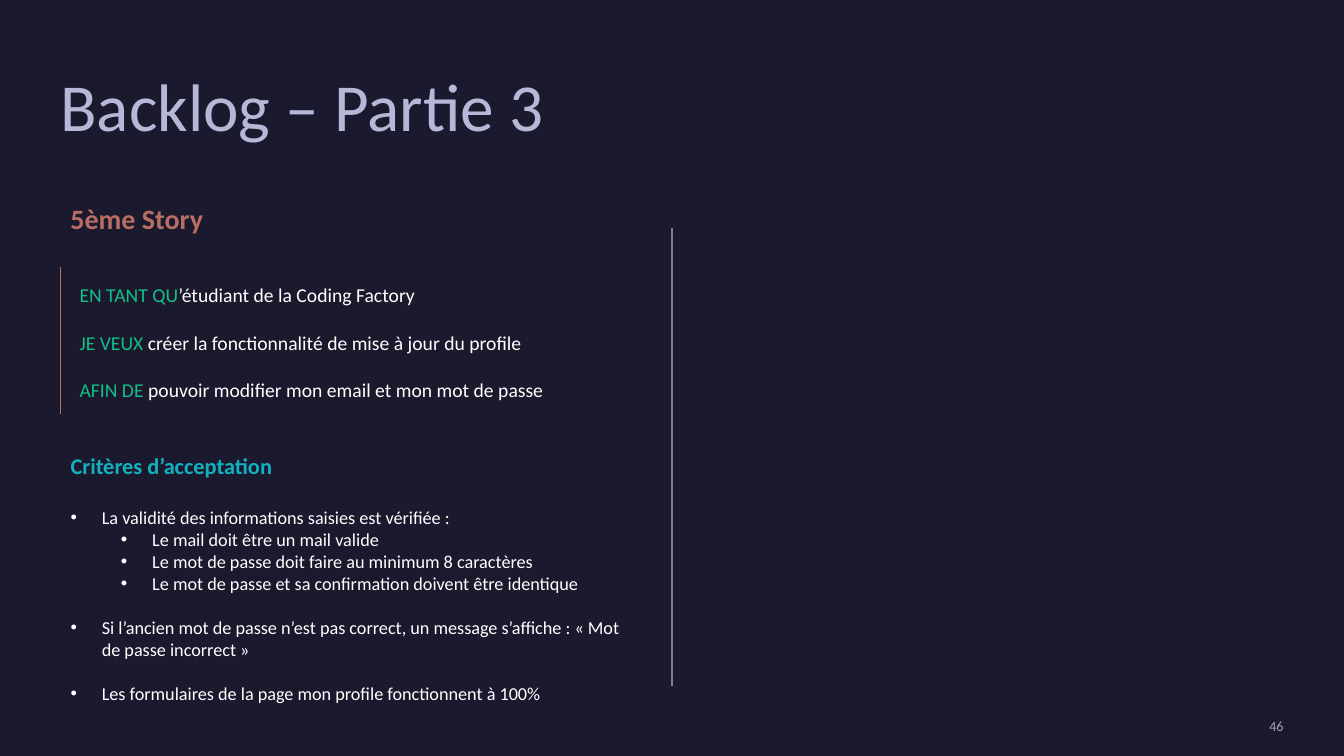
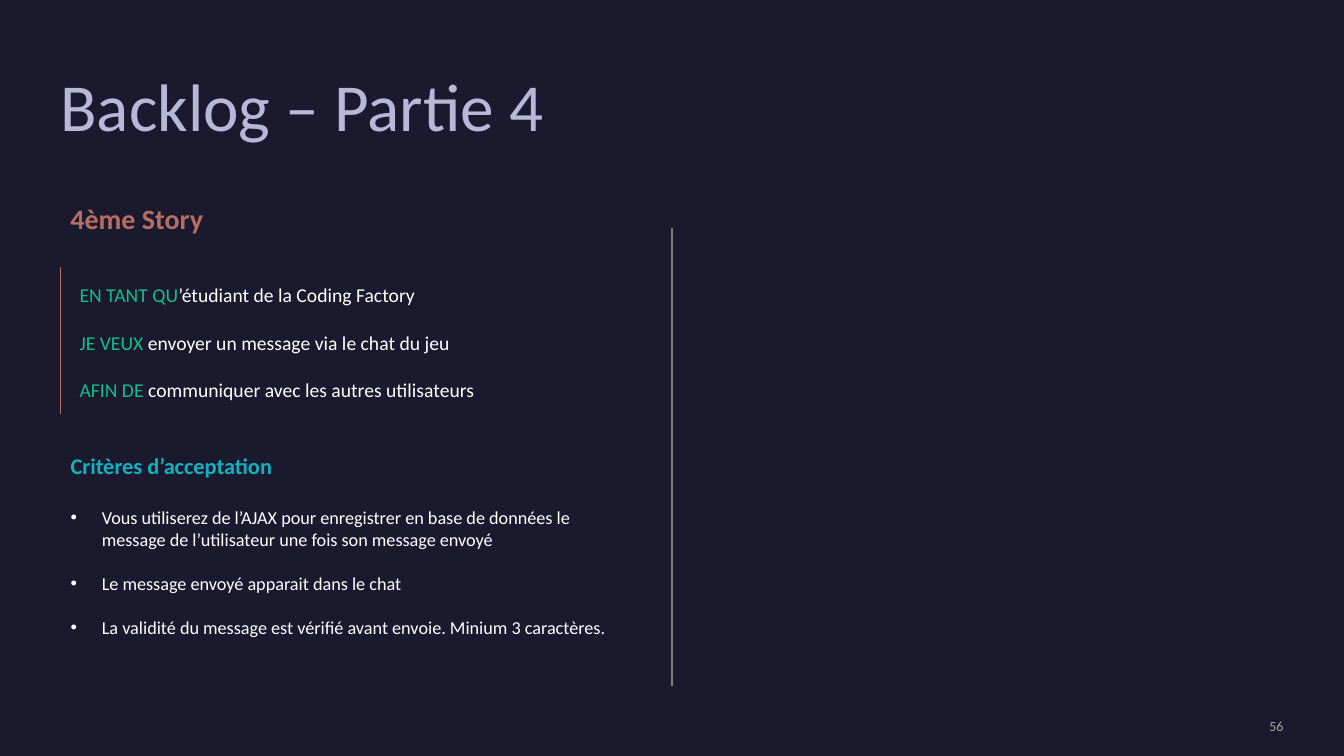
"""Build the two backlog story slides."""
import dataclasses
import typing

import lxml.etree
import pptx
import pptx.dml.color
import pptx.enum.shapes
import pptx.enum.text
import pptx.oxml.ns
import pptx.slide
import pptx.text.text
import pptx.util

RGB = pptx.dml.color.RGBColor
NIGHT = RGB(0x1B, 0x19, 0x2E)
LILAC = RGB(0xB7, 0xB7, 0xD8)
RUST = RGB(0xB8, 0x6E, 0x62)
GREEN = RGB(0x13, 0xBE, 0x89)
TEAL = RGB(0x12, 0xB1, 0xBF)
WHITE = RGB(0xFF, 0xFF, 0xFF)
SILVER = RGB(0xA5, 0xA5, 0xA5)
GREY = RGB(0x7F, 0x7F, 0x7F)

FONT = "Calibri"
WIDE = pptx.util.Inches(13.33)
HIGH = pptx.util.Inches(7.5)
LEFT = 4.5
HANG = pptx.util.Inches(0.31)
STEP = pptx.util.Inches(0.5)
PAD = (0.1, 0.05)
ALIGN = pptx.enum.text.PP_ALIGN
ANCHOR = pptx.enum.text.MSO_ANCHOR
Run = tuple[str, RGB]


class Box(typing.NamedTuple):
    """Hold left, top, width and height in percent of the slide."""
    left: float
    top: float
    width: float
    height: float


class Rule(typing.NamedTuple):
    """Hold a vertical line, in percent of the slide."""
    left: float
    top: float
    end: float
    color: RGB
    weight: float


class Point(typing.NamedTuple):
    """Hold one bullet and its level."""
    text: str
    level: int = 0


@dataclasses.dataclass
class Story:
    """Hold the content of one slide."""
    title: str
    name: str
    want: str
    goal: str
    points: list[Point]
    depth: float
    page: str


TITLE = Box(LEFT, 9.73, 73.82, 22.8)
NAME = Box(LEFT, 26, 48.09, 5.87)
QUOTE = Box(5.18, 36.8, 41.86, 17.07)
PAGE = Box(81.62, 94.93, 13.88, 2.27)
RULES = [Rule(LEFT, 35.33, 54.8, RUST, 1), Rule(50, 30.13, 90.8, GREY, 0.75)]

STORIES = [
    Story(
        "Backlog – Partie 3", "5ème Story",
        "créer la fonctionnalité de mise à jour du profile",
        "pouvoir modifier mon email et mon mot de passe",
        [
            Point("La validité des informations saisies est vérifiée :"),
            Point("Le mail doit être un mail valide", 1),
            Point("Le mot de passe doit faire au minimum 8 caractères", 1),
            Point("Le mot de passe et sa confirmation doivent être identique", 1),
            Point("Si l’ancien mot de passe n’est pas correct, un message s’affiche : "
                  "« Mot de passe incorrect »"),
            Point("Les formulaires de la page mon profile fonctionnent à 100%"),
        ],
        34.8, "46"),
    Story(
        "Backlog – Partie 4", "4ème Story",
        "envoyer un message via le chat du jeu",
        "communiquer avec les autres utilisateurs",
        [
            Point("Vous utiliserez de l’AJAX pour enregistrer en base de données le "
                  "message de l’utilisateur une fois son message envoyé"),
            Point("Le message envoyé apparait dans le chat"),
            Point("La validité du message est vérifié avant envoie. "
                  "Minium 3 caractères."),
        ],
        26, "56"),
]


def across(share: float) -> int:
    """Turn a percentage of the slide width into a length."""
    return round(WIDE * share / 100)


def down(share: float) -> int:
    """Turn a percentage of the slide height into a length."""
    return round(HIGH * share / 100)


def spot(box: Box) -> tuple[int, int, int, int]:
    """Turn a box into lengths."""
    return across(box.left), down(box.top), across(box.width), down(box.height)


def setup(frame: pptx.text.text.TextFrame, pad: tuple[float, float] = PAD,
          anchor: ANCHOR = ANCHOR.TOP) -> pptx.text.text.TextFrame:
    """Set the wrap, margins and anchor of a text frame."""
    frame.word_wrap = True
    frame.auto_size = pptx.enum.text.MSO_AUTO_SIZE.NONE
    frame.vertical_anchor = anchor
    frame.margin_left = frame.margin_right = pptx.util.Inches(pad[0])
    frame.margin_top = frame.margin_bottom = pptx.util.Inches(pad[1])
    return frame


def mark(para: pptx.text.text._Paragraph, level: int | None) -> None:
    """Give a paragraph its bullet and indent, or none."""
    props = para._p.get_or_add_pPr()
    tag = pptx.oxml.ns.qn
    add = lxml.etree.SubElement
    if level is None:
        props.set("marL", "0")
        props.set("indent", "0")
        add(props, tag("a:buNone"))
        return
    props.set("marL", str(HANG + STEP * level))
    props.set("indent", str(-HANG))
    tint = add(props, tag("a:buClr"))
    add(tint, tag("a:srgbClr")).set("val", str(WHITE))
    add(props, tag("a:buFont")).set("typeface", "Arial")
    add(props, tag("a:buChar")).set("char", "•")
    para.level = level


def write(frame: pptx.text.text.TextFrame, *runs: Run, size: float,
          bold: bool = False, gap: float = 0, line: float = 1,
          align: ALIGN = ALIGN.LEFT, level: int | None = None) -> None:
    """Add one formatted paragraph to a text frame."""
    first = frame.paragraphs[0]
    para = frame.add_paragraph() if first.runs else first
    mark(para, level)
    para.alignment = align
    para.line_spacing = line
    para.space_before = pptx.util.Pt(gap)
    para.space_after = pptx.util.Pt(0)
    for text, color in runs:
        run = para.add_run()
        run.text = text
        run.font.name = FONT
        run.font.size = pptx.util.Pt(size)
        run.font.bold = bold
        run.font.color.rgb = color


def label(slide: pptx.slide.Slide, box: Box, **look: typing.Any) -> pptx.text.text.TextFrame:
    """Add a text box and return its frame."""
    return setup(slide.shapes.add_textbox(*spot(box)).text_frame, **look)


def stroke(slide: pptx.slide.Slide, rule: Rule) -> None:
    """Draw a vertical line without a shadow."""
    left = across(rule.left)
    line = slide.shapes.add_connector(
        pptx.enum.shapes.MSO_CONNECTOR.STRAIGHT,
        left, down(rule.top), left, down(rule.end))
    line.line.color.rgb = rule.color
    line.line.width = pptx.util.Pt(rule.weight)
    lxml.etree.SubElement(line._element.spPr, pptx.oxml.ns.qn("a:effectLst"))


def place(shape: typing.Any, box: Box) -> None:
    """Move a placeholder to a box."""
    shape.left, shape.top, shape.width, shape.height = spot(box)


def draw(slide: pptx.slide.Slide, story: Story) -> None:
    """Fill one slide with a story."""
    title, body = slide.shapes.title, slide.placeholders[1]
    place(title, TITLE)
    write(setup(title.text_frame, pad=(0, 0)), (story.title, LILAC), size=48, line=0.9)

    page = label(slide, PAGE, pad=(0, 0), anchor=ANCHOR.MIDDLE)
    write(page, (story.page, SILVER), size=10, align=ALIGN.RIGHT)
    write(label(slide, NAME), (story.name, RUST), size=20, bold=True)

    quote = label(slide, QUOTE)
    lines = [("EN TANT QU", "’étudiant de la Coding Factory"),
             ("JE VEUX ", story.want), ("AFIN DE ", story.goal)]
    for row, (key, rest) in enumerate(lines):
        write(quote, (key, GREEN), (rest, WHITE), size=14, gap=17 if row else 0)

    place(body, Box(LEFT, 59.2, 42.54, story.depth))
    frame = setup(body.text_frame)
    write(frame, ("Critères d’acceptation", TEAL), size=16, bold=True)
    for row, point in enumerate(story.points):
        gap = 0 if point.level else 15.8 if row else 19.5
        write(frame, (point.text, WHITE), size=13, gap=gap, level=point.level)

    for rule in RULES:
        stroke(slide, rule)


def main() -> None:
    """Build and save the deck."""
    deck = pptx.Presentation()
    deck.slide_width, deck.slide_height = WIDE, HIGH
    fill = deck.slide_master.background.fill
    fill.solid()
    fill.fore_color.rgb = NIGHT
    for story in STORIES:
        draw(deck.slides.add_slide(deck.slide_layouts[1]), story)
    deck.save("out.pptx")


if __name__ == "__main__":
    main()
